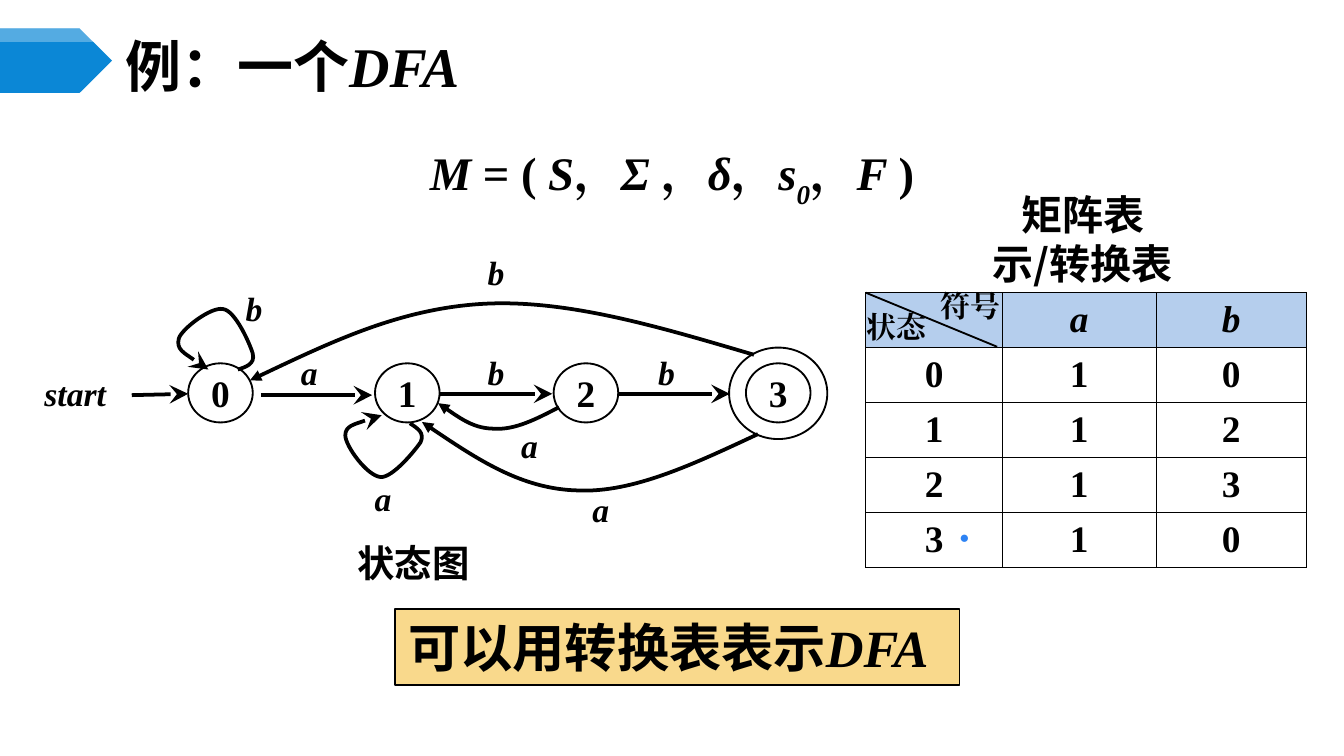
from dataclasses import dataclass

from pptx import Presentation, util as u
from pptx.dml.color import RGBColor
from pptx.enum import shapes, text
from pptx.oxml import ns, xmlchemy

Pt = u.Pt
CENTER = text.PP_ALIGN.CENTER
LEFT = text.PP_ALIGN.LEFT
TOP = text.MSO_ANCHOR.TOP
MIDDLE = text.MSO_ANCHOR.MIDDLE


@dataclass(frozen=True)
class Theme:
    ink: str = "000000"
    paper: str = "FFFFFF"
    ribbon: str = "0B87D6"
    header: str = "B5CEED"
    callout: str = "F9D98C"
    dot: str = "2D83F4"
    serif: str = "Times New Roman"
    cjk: str = "Noto Sans CJK SC"
    sans: str = "Arial"
    title: float = 30
    banner: float = 28
    formula: float = 25
    heading: float = 22
    body: float = 20
    label: float = 18
    corner: float = 16
    bullet: float = 9


def apply(obj, fmt):
    for name, value in fmt.items():
        setattr(obj, name, value)


def add_xml(parent, tag, **attrs):
    el = xmlchemy.OxmlElement(tag)
    for name, value in attrs.items():
        el.set(name, value)
    parent.append(el)
    return el


class Painter:
    def __init__(self, slide, theme):
        self.s, self.t = slide, theme

    def add_runs(self, tf, runs, size, font=None, align=CENTER, color=None, bold=True):
        """Each run is (text, changes), the changes being italic, font or baseline."""
        p = tf.paragraphs[0]
        p.alignment = align
        for words, changes in runs:
            r = p.add_run()
            r.text = words
            face = changes.get("font", font or self.t.serif)
            apply(r.font, {"name": face, "size": Pt(size), "bold": bold,
                           "italic": changes.get("italic", False)})
            r.font.color.rgb = RGBColor.from_string(color or self.t.ink)
            rpr = r._r.get_or_add_rPr()
            add_xml(rpr, "a:ea", typeface=face)
            if "baseline" in changes:
                rpr.set("baseline", changes["baseline"])

    def text(self, box, runs, size, wrap=True, anchor=TOP, **style):
        sp = self.s.shapes.add_textbox(*map(Pt, box))
        apply(sp.text_frame, {"word_wrap": wrap, "vertical_anchor": anchor})
        self.add_runs(sp.text_frame, runs, size, **style)

    def paint(self, sp, fill=None, line=None, arrow=None):
        sp.shadow.inherit = False
        if fill:
            sp.fill.solid()
            sp.fill.fore_color.rgb = RGBColor.from_string(fill)
        else:
            sp.fill.background()
        if line:
            self.stroke(sp, line, arrow)
        else:
            sp.line.fill.background()

    def stroke(self, sp, width, arrow=None):
        sp.line.width = Pt(width)
        sp.line.color.rgb = RGBColor.from_string(self.t.ink)
        if arrow:
            size = "lg" if arrow == "stealth" else "med"
            ln = sp._element.spPr.find(ns.qn("a:ln"))
            add_xml(ln, "a:tailEnd", type=arrow, w=size, len=size)

    def shape(self, kind, box, fill=None, runs=(), size=None, anchor=MIDDLE, **style):
        sp = self.s.shapes.add_shape(kind, *map(Pt, box))
        self.paint(sp, fill, line=1)
        apply(sp.text_frame, {"word_wrap": False, "vertical_anchor": anchor})
        if runs:
            self.add_runs(sp.text_frame, runs, size, **style)

    def oval(self, cx, cy, w, h, **options):
        self.shape(shapes.MSO_SHAPE.OVAL, (cx - w / 2, cy - h / 2, w, h), **options)

    def line(self, x1, y1, x2, y2, width, arrow=None):
        ends = map(Pt, (x1, y1, x2, y2))
        sp = self.s.shapes.add_connector(shapes.MSO_CONNECTOR.STRAIGHT, *ends)
        self.stroke(sp, width, arrow)
        add_xml(sp._element.spPr, "a:effectLst")

    def outline(self, points, close=True):
        start, *rest = [(Pt(x), Pt(y)) for x, y in points]
        fb = self.s.shapes.build_freeform(*start, scale=1.0)
        fb.add_line_segments(rest, close=close)
        return fb.convert_to_shape()

    def polygon(self, points, fill, alpha=None):
        sp = self.outline(points)
        self.paint(sp, fill)
        if alpha:
            clr = sp._element.spPr.find(ns.qn("a:solidFill"))[0]
            add_xml(clr, "a:alpha", val=str(alpha * 1000))

    def curve(self, points, arrow):
        """After the start, each three points form one Bezier segment."""
        sp = self.outline(points, close=False)
        segments = list(sp._element.iter(ns.qn("a:lnTo")))
        for i in range(0, len(segments), 3):
            bez = xmlchemy.OxmlElement("a:cubicBezTo")
            segments[i].addprevious(bez)
            for seg in segments[i:i + 3]:
                bez.append(seg[0])
                seg.getparent().remove(seg)
        self.paint(sp, line=2, arrow=arrow)

    def table(self, x, y, widths, row_height, rows):
        frame = self.s.shapes.add_table(len(rows), len(widths), Pt(x), Pt(y),
                                        Pt(sum(widths)), Pt(row_height * len(rows)))
        tbl = frame.table
        apply(tbl, {"first_row": False, "horz_banding": False})
        for col, width in zip(tbl.columns, widths):
            col.width = Pt(width)
        for i, row in enumerate(rows):
            tbl.rows[i].height = Pt(row_height)
            for j, words in enumerate(row):
                cell = tbl.cell(i, j)
                apply(cell, {"margin_top": 0, "margin_bottom": 0,
                             "vertical_anchor": MIDDLE})
                if words:
                    self.add_runs(cell.text_frame, [(words, {"italic": i == 0})], self.t.body)
                self.borders(cell)
                if i == 0:
                    cell.fill.solid()
                    cell.fill.fore_color.rgb = RGBColor.from_string(self.t.header)
                else:
                    cell.fill.background()

    def borders(self, cell):
        tcpr = cell._tc.get_or_add_tcPr()
        for side in ("a:lnL", "a:lnR", "a:lnT", "a:lnB"):
            ln = add_xml(tcpr, side, w=str(Pt(0.45)))
            add_xml(add_xml(ln, "a:solidFill"), "a:srgbClr", val=self.t.ink)


def main():
    prs = Presentation()
    apply(prs, {"slide_width": Pt(720), "slide_height": Pt(405)})
    t = Theme()
    d = Painter(prs.slides.add_slide(prs.slide_layouts[6]), t)
    italic = {"italic": True}
    dfa = ("DFA", {"italic": True, "font": t.serif})

    # Title with its ribbon
    d.text((60, 21, 624, 28), [("例：一个", {}), dfa], t.title,
           anchor=MIDDLE, font=t.cjk, align=LEFT)
    d.polygon([(0, 15.2), (42.6, 15.2), (60, 32.5), (42.6, 49.8), (0, 49.8)], t.ribbon)
    d.polygon([(0, 15.2), (56.2, 15.2), (60, 18.9), (56.2, 22.5), (0, 22.5)], t.paper, 30)

    # Definition of M
    d.text((28, 73.4, 664, 49.7),
           [("M ", italic), ("= ( ", {}), ("S", italic), ("，", {}), ("Σ ", italic),
            ("，", {}), ("δ", italic), ("，", {}), ("s", italic),
            ("0", {"italic": True, "baseline": "-30000"}),
            ("，", {}), ("F ", italic), (")", {})], t.formula)

    # Transition table
    d.table(463.8, 156.8, (73.2, 82.3, 80.7), 29.45,
            [("", "a", "b"), "010", "112", "213", "310"])

    # States, the accepting one with a second ring
    for name, cx in enumerate((118.1, 218.2, 313.9, 416.9)):
        d.oval(cx, 210.5, 34.6, 31.7, fill=t.paper, runs=[(str(name), {})], size=t.body)
    d.oval(416.9, 210.7, 52.6, 49)

    # Straight transitions
    for ends in ((70.6, 211.7, 100.8, 211), (139.7, 211.7, 199.4, 211.7),
                 (235.4, 211, 295.9, 211), (331.2, 211, 391, 211)):
        d.line(*ends, width=2, arrow="stealth")

    # Curved transitions: loops on 0 and 1, then 3 to 0, 3 to 1, 2 to 1
    for arrow, points in (
        ("stealth", [(127.4, 198), (131.8, 196.6), (136.8, 195.1), (135.4, 189.4),
                     (133.9, 184.3), (126, 166.3), (119.5, 165.6),
                     (113, 164.2), (97.2, 176.4), (95.8, 181.4),
                     (94.3, 187.2), (103, 192.2), (111.6, 198)]),
        ("stealth", [(219.6, 226.8), (223.9, 229.7), (227.5, 231.8), (225.4, 236.9),
                     (222.5, 241.2), (210.2, 256.3), (203.8, 255.6),
                     (196.6, 254.9), (185, 239), (185, 233.3),
                     (185, 228.2), (195.1, 225.4), (204.5, 222.5)]),
        ("triangle", [(403.9, 190.1), (355, 175.7), (305.3, 160.6), (260.6, 162.7),
                      (215.3, 164.9), (175, 184.3), (133.9, 203.8)]),
        ("triangle", [(406.1, 232.6), (372.2, 248.4), (339.1, 264.2), (309.6, 262.8),
                      (279.4, 262.1), (252.7, 244.1), (226.1, 226.1)]),
        ("triangle", [(299.5, 218.2), (287.3, 224.6), (275.8, 230.4), (265, 229.7),
                      (254.2, 229.7), (244.1, 222.5), (234.7, 216)]),
    ):
        d.curve(points, arrow)

    # Transition labels, placed by their centres
    for name, cx, cy in (("start", 40.3, 210.6), ("b", 136.1, 165.2), ("a", 165.6, 199.1),
                         ("b", 265.7, 199.1), ("b", 357.1, 199.1), ("b", 265.7, 145.8),
                         ("a", 205.2, 266.8), ("a", 283.7, 238.7), ("a", 321.8, 272.5)):
        d.text((cx - 30.2, cy - 15.5, 60.4, 31), [(name, italic)], t.label,
               wrap=False, anchor=MIDDLE)

    # Table heading and split corner cell
    d.text((514.8, 108.7, 130.3, 38.2), [("矩阵表示/转换表", {})], t.heading,
           anchor=MIDDLE, font=t.cjk)
    for name, x, y in (("状态", 457.2, 162), ("符号", 496.8, 150.5)):
        d.text((x, y, 46.1, 26.6), [(name, {})], t.corner, wrap=False)
    d.line(463.8, 156.8, 534.2, 185.8, width=1)

    # Conclusion, table dot and diagram caption
    d.shape(shapes.MSO_SHAPE.RECTANGLE, (211.7, 326.2, 302.4, 41), t.callout,
            [("可以用转换表表示", {}), dfa], t.banner, anchor=TOP, font=t.cjk, align=LEFT)
    d.text((506.9, 278.6, 19.4, 18), [("●", {})], t.bullet, wrap=False,
           font=t.sans, align=LEFT, color=t.dot, bold=False)
    d.text((184.3, 285.8, 85, 31.7), [("状态图", {})], t.body, font=t.cjk, align=LEFT)

    prs.save("out.pptx")


if __name__ == "__main__":
    main()
